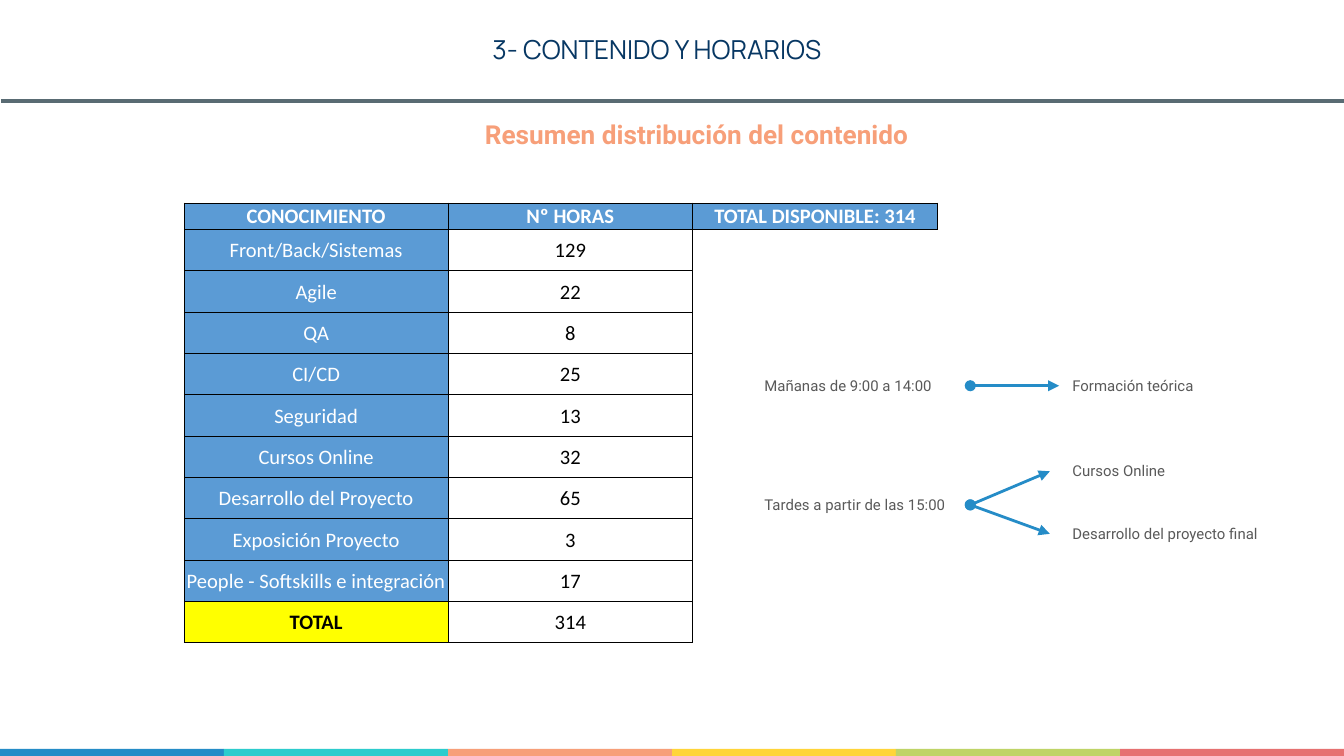
from lxml import etree
from pptx import Presentation
from pptx.dml.color import RGBColor
from pptx.enum.shapes import MSO_CONNECTOR, MSO_SHAPE
from pptx.enum.text import MSO_ANCHOR, PP_ALIGN
from pptx.oxml.ns import qn
from pptx.util import Pt

STRAIGHT, RECTANGLE = MSO_CONNECTOR.STRAIGHT, MSO_SHAPE.RECTANGLE
MIDDLE = MSO_ANCHOR.MIDDLE
LEFT, CENTER = PP_ALIGN.LEFT, PP_ALIGN.CENTER

NAVY = RGBColor(0x07, 0x37, 0x63)
SLATE = RGBColor(0x59, 0x6B, 0x73)
GRAY = RGBColor(0x59, 0x59, 0x59)
BLUE = RGBColor(0x25, 0x8C, 0xC7)
TURQUOISE = RGBColor(0x2D, 0xCC, 0xCD)
SALMON = RGBColor(0xF7, 0x9F, 0x79)
GOLD = RGBColor(0xFF, 0xD5, 0x39)
LIME = RGBColor(0xBF, 0xD4, 0x67)
CORAL = RGBColor(0xE6, 0x71, 0x71)
TABLE_BLUE = RGBColor(0x5B, 0x9B, 0xD5)
YELLOW = RGBColor(0xFF, 0xFF, 0x00)
WHITE = RGBColor(0xFF, 0xFF, 0xFF)
BLACK = RGBColor(0x00, 0x00, 0x00)

SLIDE_W, SLIDE_H = 720, 405
STRIPES = [BLUE, TURQUOISE, SALMON, GOLD, LIME, CORAL]
HEADINGS = ["CONOCIMIENTO", "Nº HORAS", "TOTAL DISPONIBLE: 314"]
HOURS = [
    ("Front/Back/Sistemas", 129),
    ("Agile", 22),
    ("QA", 8),
    ("CI/CD", 25),
    ("Seguridad", 13),
    ("Cursos Online", 32),
    ("Desarrollo del Proyecto", 65),
    ("Exposición Proyecto", 3),
    ("People - Softskills e integración", 17),
    ("TOTAL", 314),
]


def add_run(paragraph, text, font, size, color, bold=False):
    run = paragraph.add_run()
    run.text = text
    run.font.name = font
    run.font.size = Pt(size)
    run.font.color.rgb = color
    run.font.bold = bold


def add_label(slide, box, text, font, size, color, bold=False, align=LEFT):
    frame = slide.shapes.add_textbox(*map(Pt, box)).text_frame
    frame.word_wrap = True
    frame.margin_left = frame.margin_right = Pt(7.2)
    frame.margin_top = frame.margin_bottom = Pt(7.2 if align == CENTER else 3.6)
    paragraph = frame.paragraphs[0]
    paragraph.alignment = align
    add_run(paragraph, text, font, size, color, bold)


def add_line(slide, start, end, color, width, arrow=False):
    line = slide.shapes.add_connector(STRAIGHT, *map(Pt, (*start, *end)))
    line.line.color.rgb = color
    line.line.width = Pt(width)
    if arrow:
        ln = line.line._get_or_add_ln()
        etree.SubElement(ln, qn("a:headEnd"), type="oval")
        etree.SubElement(ln, qn("a:tailEnd"), type="triangle")
    etree.SubElement(line._element.spPr, qn("a:effectLst"))


def set_borders(cell, drawn):
    """Draw the given sides (letters of LRTB) in black and clear the rest."""
    properties = cell._tc.get_or_add_tcPr()
    for index, side in enumerate("LRTB"):
        border = etree.Element(qn(f"a:ln{side}"), w=str(Pt(0.5)))
        if side in drawn:
            fill = etree.SubElement(border, qn("a:solidFill"))
            etree.SubElement(fill, qn("a:srgbClr"), val=str(BLACK))
        else:
            etree.SubElement(border, qn("a:noFill"))
        properties.insert(index, border)


def fill_cell(cell, text, fill, color, bold, borders="LRTB"):
    cell.vertical_anchor = MIDDLE
    cell.margin_left = cell.margin_right = cell.margin_top = Pt(0.7)
    cell.margin_bottom = 0
    if fill is None:
        cell.fill.background()
    else:
        cell.fill.solid()
        cell.fill.fore_color.rgb = fill
    paragraph = cell.text_frame.paragraphs[0]
    paragraph.alignment = CENTER
    if text:
        add_run(paragraph, text, "Calibri", 11, color, bold)
    else:
        # Keeps the empty cell from stretching its row
        etree.SubElement(paragraph._p, qn("a:endParaRPr"), sz="1100")
    set_borders(cell, borders)


def add_header(slide, left, top, width, height):
    add_line(slide, (left, top + height), (left + width, top + height), SLATE, 2)
    add_label(slide, (left + 224, top + 10.8, 255, 26.6),
              "3- CONTENIDO Y HORARIOS", "Manrope", 14, NAVY, align=CENTER)


def add_footer(slide, left, top, width, height):
    stripe_w = width / len(STRIPES)
    for index, color in enumerate(STRIPES):
        stripe = slide.shapes.add_shape(
            RECTANGLE, Pt(left + index * stripe_w), Pt(top), Pt(stripe_w), Pt(height))
        stripe.shadow.inherit = False
        stripe.fill.solid()
        stripe.fill.fore_color.rgb = color
        stripe.line.fill.background()


def add_hours_table(slide, left, top, width, height):
    header_h = 14.2
    table = slide.shapes.add_table(
        len(HOURS) + 1, 3, Pt(left), Pt(top), Pt(width), Pt(height)).table
    table.first_row = table.horz_banding = False
    for column, share in zip(table.columns, (0.35, 0.325, 0.325)):
        column.width = Pt(width * share)
    for row in table.rows:
        row.height = Pt((height - header_h) / len(HOURS))
    table.rows[0].height = Pt(header_h)

    for column, heading in enumerate(HEADINGS):
        fill_cell(table.cell(0, column), heading, TABLE_BLUE, WHITE, True)
    for row, (topic, hours) in enumerate(HOURS, start=1):
        is_total = topic == "TOTAL"
        fill_cell(table.cell(row, 0), topic, YELLOW if is_total else TABLE_BLUE,
                  BLACK if is_total else WHITE, is_total)
        fill_cell(table.cell(row, 1), str(hours), None, BLACK, False)
        fill_cell(table.cell(row, 2), "", None, BLACK, False,
                  "LT" if row == 1 else "L")


def add_schedule(slide, left, top, width, height):
    label_h = 17.3
    activity_x = left + 165
    arrow_x = left + 117.4
    afternoon_y = top + height - 25

    def add_entry(x, middle, text):
        add_label(slide, (x, middle - label_h / 2, left + width - x, label_h),
                  text, "Roboto", 8, GRAY)

    # Time slot, its height, then (activity, its height, arrow end)
    slots = [
        ("Mañanas de 9:00 a 14:00", top + label_h / 2,
         [("Formación teórica", top + label_h / 2, (activity_x, top + label_h / 2))]),
        ("Tardes a partir de las 15:00", afternoon_y,
         [("Cursos Online", afternoon_y - 18, (activity_x - 5, afternoon_y - 18)),
          ("Desarrollo del proyecto final", afternoon_y + 15.5,
           (activity_x - 5, afternoon_y + 15.5))]),
    ]
    for slot, slot_y, activities in slots:
        add_entry(left, slot_y, slot)
        for activity, activity_y, arrow_end in activities:
            add_line(slide, (arrow_x, slot_y), arrow_end, BLUE, 1.5, arrow=True)
            add_entry(activity_x, activity_y, activity)


def main():
    prs = Presentation()
    prs.slide_width, prs.slide_height = Pt(SLIDE_W), Pt(SLIDE_H)
    slide = prs.slides.add_slide(prs.slide_layouts[6])
    add_header(slide, 0.5, 0, SLIDE_W - 0.5, 54)
    add_footer(slide, 0, 401.25, SLIDE_W, 3.75)
    add_label(slide, (252.7, 59.8, 249, 24.5),
              "Resumen distribución del contenido", "Roboto", 14, SALMON, bold=True)
    add_hours_table(slide, 98.75, 108.75, 403.5, 235.75)
    add_schedule(slide, 402.4, 198, 286.6, 97.5)
    prs.save("out.pptx")


if __name__ == "__main__":
    main()
